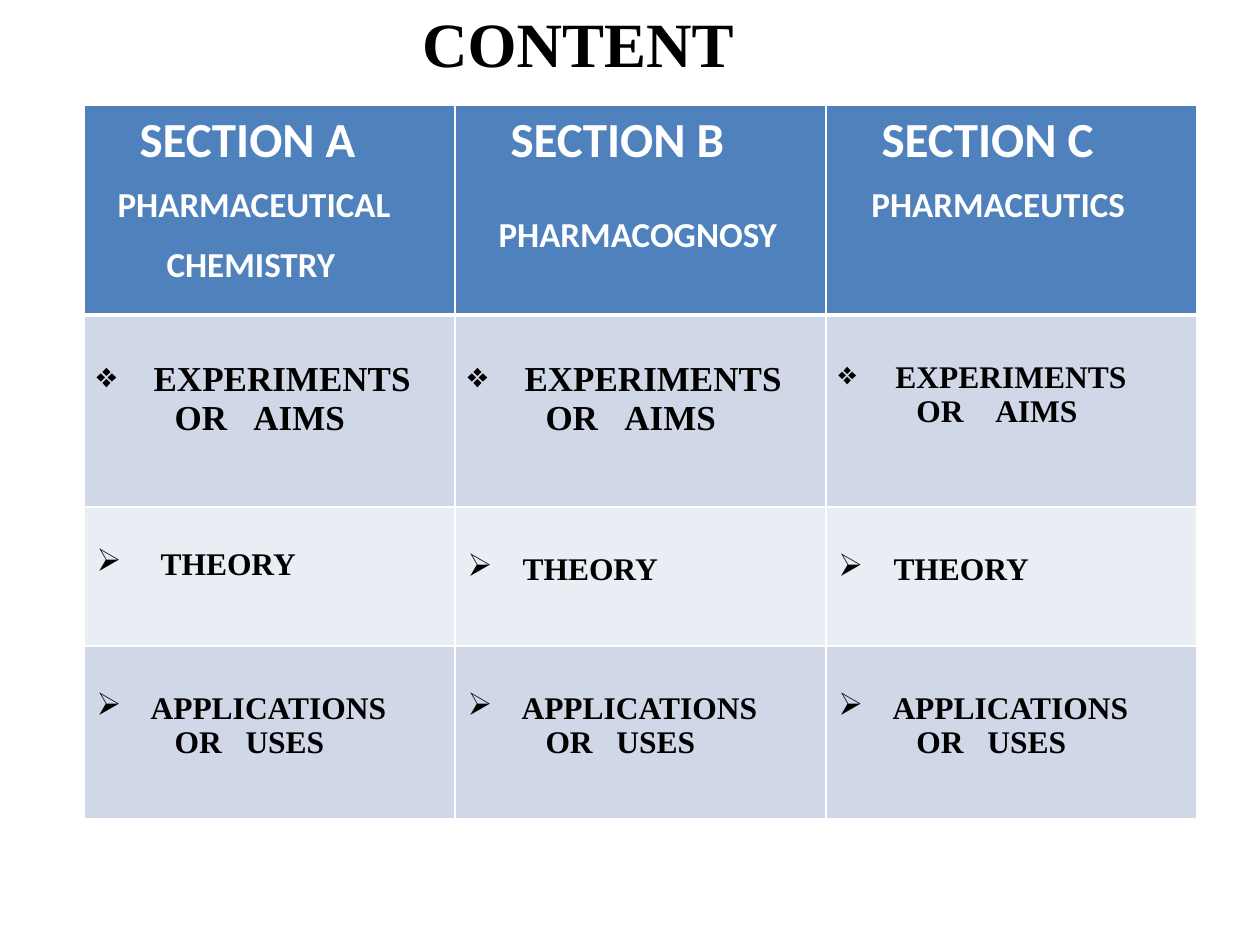
from dataclasses import dataclass

from lxml.etree import SubElement
from pptx import Presentation
from pptx.dml.color import RGBColor
from pptx.enum.text import MSO_ANCHOR, MSO_AUTO_SIZE, PP_ALIGN
from pptx.oxml.ns import qn
from pptx.util import Emu, Pt

EMU_PER_PX = 914400 / 126
COLORS = {
    "header": "4F81BD",
    "dark band": "D0D8E8",
    "light band": "E9EDF4",
    "white": "FFFFFF",
    "black": "000000",
}
BODY_FONT = "Times New Roman"
HEADER_FONT = "Calibri"
CELL_PADDING = 6
COLUMN_WIDTHS = [371, 371, 371]
ROW_HEIGHTS = [210, 192, 139, 173]
ROW_FILLS = ["header", "dark band", "light band", "dark band"]


@dataclass
class Line:
    """One paragraph; lengths in px, size in points.

    word_gap is the extra width, in points, of each space between words.
    """
    text: str
    size: int
    indent: int
    space_before: int = 0
    bullet: str = ""
    word_gap: float = 0


@dataclass
class CellContent:
    lines: list[Line]
    top: int = CELL_PADDING


def px(length: float) -> Emu:
    return Emu(round(length * EMU_PER_PX))


def color(name: str) -> RGBColor:
    return RGBColor.from_string(COLORS[name])


def format_font(font, **values) -> None:
    color_name = values.pop("color")
    for name, value in values.items():
        setattr(font, name, value)
    font.color.rgb = color(color_name)


def section(letter: str, *subject: Line) -> CellContent:
    return CellContent([Line(f"SECTION {letter}", 28, 43), *subject])


def experiments(size: int, word_gap: float) -> CellContent:
    return CellContent([
        Line("EXPERIMENTS", size, 57, bullet="❖"),
        Line("OR AIMS", size, 78, word_gap=word_gap),
    ], top=45)


def theory(indent: int, top: int) -> CellContent:
    return CellContent([Line("THEORY", 18, indent, bullet="➢")], top)


def applications() -> CellContent:
    return CellContent([
        Line("APPLICATIONS", 18, 54, bullet="➢"),
        Line("OR USES", 18, 78, word_gap=9),
    ], top=45)


ROWS = [
    [
        section("A", Line("PHARMACEUTICAL", 20, 21, 13), Line("CHEMISTRY", 20, 70, 17)),
        section("B", Line("PHARMACOGNOSY", 20, 31, 43)),
        section("C", Line("PHARMACEUTICS", 20, 33, 13)),
    ],
    [experiments(20, 10), experiments(20, 10), experiments(18, 13.5)],
    [theory(64, 40), theory(55, 45), theory(55, 45)],
    [applications() for _ in COLUMN_WIDTHS],
]


def add_words(paragraph, line: Line, font_name: str, color_name: str) -> None:
    """Write the line, giving each space its own run if it is widened."""
    pieces = line.text.replace(" ", "| |").split("|") if line.word_gap else [line.text]
    for piece in pieces:
        run = paragraph.add_run()
        run.text = piece
        format_font(run.font, name=font_name, size=Pt(line.size), bold=True, color=color_name)
        if piece == " ":
            run.font._element.set("spc", str(round(line.word_gap * 100)))


def format_paragraph(paragraph, line: Line) -> None:
    paragraph.alignment = PP_ALIGN.LEFT
    paragraph.space_before = px(line.space_before)
    properties = paragraph._p.get_or_add_pPr()
    properties.set("marL", str(px(line.indent)))
    properties.set("indent", str(px(-line.indent if line.bullet else 0)))
    if line.bullet:
        SubElement(properties, qn("a:buChar"), char=line.bullet)
    else:
        SubElement(properties, qn("a:buNone"))


def add_borders(cell, widths: dict[str, int]) -> None:
    properties = cell._tc.get_or_add_tcPr()
    for side, width in widths.items():
        border = SubElement(properties, qn(f"a:ln{side}"), w=str(Pt(width)))
        fill = SubElement(border, qn("a:solidFill"))
        SubElement(fill, qn("a:srgbClr"), val=COLORS["white"])


def fill_cell(cell, content: CellContent, row: int) -> None:
    is_header = row == 0
    add_borders(cell, {"L": 1, "R": 1, "T": 3 if row == 1 else 1, "B": 3 if is_header else 1})
    cell.fill.solid()
    cell.fill.fore_color.rgb = color(ROW_FILLS[row])
    cell.vertical_anchor = MSO_ANCHOR.TOP
    cell.margin_top = px(content.top)
    cell.margin_bottom = px(CELL_PADDING)
    font_name, color_name = (HEADER_FONT, "white") if is_header else (BODY_FONT, "black")
    for index, line in enumerate(content.lines):
        frame = cell.text_frame
        paragraph = frame.add_paragraph() if index else frame.paragraphs[0]
        format_paragraph(paragraph, line)
        add_words(paragraph, line, font_name, color_name)


def set_title(slide) -> None:
    title = slide.shapes.title
    box = {"left": 53, "top": 21, "width": 1050, "height": 42}
    for name, value in box.items():
        setattr(title, name, px(value))
    frame = title.text_frame
    frame.text = "CONTENT"
    frame.auto_size = MSO_AUTO_SIZE.NONE
    frame.vertical_anchor = MSO_ANCHOR.MIDDLE
    paragraph = frame.paragraphs[0]
    paragraph.alignment = PP_ALIGN.CENTER
    format_font(paragraph.runs[0].font, name=BODY_FONT, size=Pt(36), bold=True, color="black")


def add_content_table(slide) -> None:
    frame = slide.shapes.add_table(
        len(ROW_HEIGHTS), len(COLUMN_WIDTHS),
        px(84), px(105), px(sum(COLUMN_WIDTHS)), px(sum(ROW_HEIGHTS)))
    table = frame.table
    for column, width in zip(table.columns, COLUMN_WIDTHS):
        column.width = px(width)
    for row, height in zip(table.rows, ROW_HEIGHTS):
        row.height = px(height)
    for row_index, contents in enumerate(ROWS):
        for column_index, content in enumerate(contents):
            fill_cell(table.cell(row_index, column_index), content, row_index)


def main() -> None:
    presentation = Presentation()
    presentation.slide_width = px(1260)
    presentation.slide_height = px(945)
    slide = presentation.slides.add_slide(presentation.slide_layouts[5])
    set_title(slide)
    add_content_table(slide)
    presentation.save("out.pptx")


if __name__ == "__main__":
    main()
